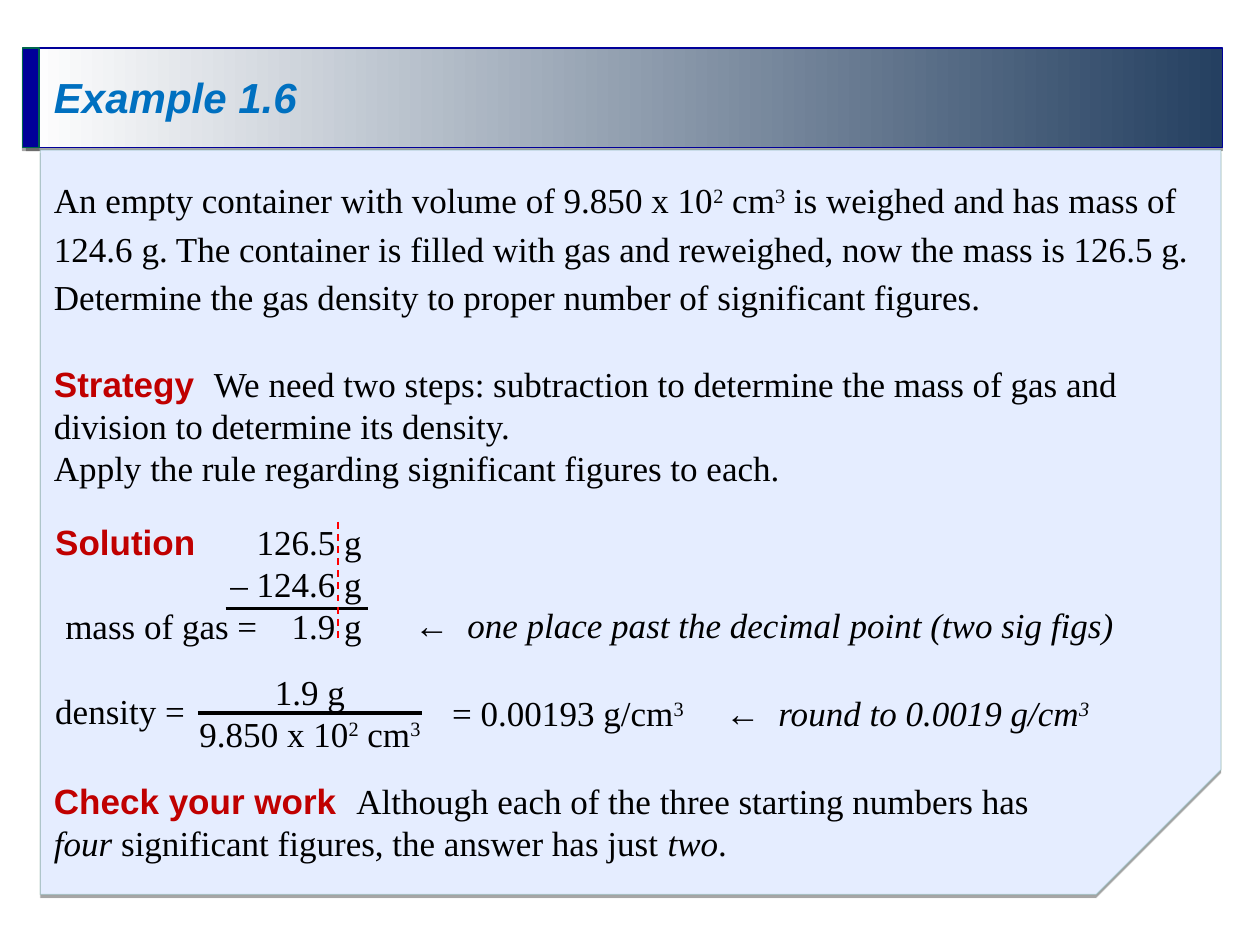
import dataclasses

import lxml.etree
import pptx
import pptx.dml.color
import pptx.enum.dml
import pptx.enum.shapes
import pptx.enum.text
import pptx.oxml
import pptx.oxml.ns
import pptx.util

Inches = pptx.util.Inches
Pt = pptx.util.Pt
qn = pptx.oxml.ns.qn
RGB = pptx.dml.color.RGBColor.from_string
Align = pptx.enum.text.PP_ALIGN


@dataclasses.dataclass(frozen=True)
class Theme:
    serif: str = "Times New Roman"
    sans: str = "Arial"
    ink: str = "000000"
    lead: str = "C00000"
    title: str = "0070C0"
    panel: str = "E5EDFF"
    edge: str = "00664D"
    navy: str = "000099"
    fade: tuple = ("FFFFFF", "254061")
    mark: str = "FF0000"
    size: int = 20
    head: int = 24


T = Theme()


# Runs: each helper returns the text with its font settings
def body(text, **more):
    return text, dict(font=T.serif, color=T.ink, size=T.size) | more


def lead(text):
    return text, dict(font=T.sans, color=T.lead, size=T.size, bold=True)


def note(text):
    return body(text, italic=True)


def sup(text, **more):
    return body(text, raised=True, **more)


def add_run(para, text, font, color, size, bold=False, italic=False, raised=False):
    run = para.add_run()
    run.text = text
    run.font.name = font
    run.font.size = Pt(size)
    run.font.bold = bold
    run.font.italic = italic
    run.font.color.rgb = RGB(color)
    if raised:
        run._r.get_or_add_rPr().set("baseline", "30000")


def add_text(slide, left, top, width, height, paras, align=Align.LEFT,
             space=1.0, tab=None, middle=False):
    box = slide.shapes.add_textbox(*map(Inches, (left, top, width, height)))
    frame = box.text_frame
    frame.word_wrap = True
    if middle:
        frame.vertical_anchor = pptx.enum.text.MSO_ANCHOR.MIDDLE
    for i, runs in enumerate(paras):
        para = frame.add_paragraph() if i else frame.paragraphs[0]
        para.alignment = align
        para.line_spacing = space
        for text, style in runs:
            add_run(para, text, **style)
        if tab:
            stops = lxml.etree.SubElement(para._p.get_or_add_pPr(), qn("a:tabLst"))
            lxml.etree.SubElement(stops, qn("a:tab"), pos=str(Inches(tab)), algn="l")


# Shapes with a thin line and a hard shadow below
def finish(shape, fill, line, alpha=None):
    if isinstance(fill, tuple):
        shape.fill.gradient()
        shape.fill.gradient_angle = 0
        for stop, color, place in zip(shape.fill.gradient_stops, fill, (0, 1)):
            stop.color.rgb = RGB(color)
            stop.position = place
    else:
        shape.fill.solid()
        shape.fill.fore_color.rgb = RGB(fill)
    shape.line.color.rgb = RGB(line)
    shape.line.width = Pt(0.75)
    if alpha:
        color = shape._element.spPr.find(".//" + qn("a:ln") + "//" + qn("a:srgbClr"))
        add_alpha(color, alpha)
    shape.shadow.inherit = False
    effects = shape._element.spPr.find(qn("a:effectLst"))
    shade = lxml.etree.SubElement(effects, qn("a:outerShdw"), blurRad="0",
                                  dist=str(Pt(1.8)), dir="5400000", rotWithShape="0")
    add_alpha(lxml.etree.SubElement(shade, qn("a:srgbClr"), val=T.ink), 35)


def add_alpha(color, percent):
    lxml.etree.SubElement(color, qn("a:alpha"), val=str(percent * 1000))


def add_bar(slide, left, width, fill, line):
    kind = pptx.enum.shapes.MSO_SHAPE.RECTANGLE
    bar = slide.shapes.add_shape(kind, *map(Inches, (left, 0.38, width, 0.79)))
    finish(bar, fill, line)


def add_panel(slide):
    left, top, right, low, cut = 0.32, 1.19, 9.69, 7.1, 0.99
    points = [(right - cut, low), (right, low - cut), (right, top), (left, top)]
    path = slide.shapes.build_freeform(Inches(left), Inches(low))
    path.add_line_segments([(Inches(x), Inches(y)) for x, y in points], close=True)
    finish(path.convert_to_shape(), T.panel, T.edge, alpha=18)


def add_rule(slide, x1, y1, x2, y2, color=T.ink, width=2, dash=False):
    kind = pptx.enum.shapes.MSO_CONNECTOR.STRAIGHT
    rule = slide.shapes.add_connector(kind, *map(Inches, (x1, y1, x2, y2)))
    rule.line.color.rgb = RGB(color)
    rule.line.width = Pt(width)
    if dash:
        rule.line.dash_style = pptx.enum.dml.MSO_LINE.DASH
    lxml.etree.SubElement(rule._element.spPr, qn("a:effectLst"))


def main():
    deck = pptx.Presentation()
    deck.slide_width, deck.slide_height = Inches(10), Inches(7.5)
    slide = deck.slides.add_slide(deck.slide_layouts[6])

    # Header and panel
    add_bar(slide, 0.21, 9.49, T.fade, T.navy)
    add_panel(slide)
    add_bar(slide, 0.18, 0.13, T.navy, T.edge)
    title = dict(font=T.sans, color=T.title, size=T.head, bold=True, italic=True)
    add_text(slide, 0.33, 0.02, 8.49, 1.56, [[("Example 1.6", title)]],
             space=0.81, middle=True)

    # Problem and strategy
    add_text(slide, 0.33, 1.32, 9.33, 1.25, [[
        body("An empty container with volume of 9.850 x 10"), sup("2"),
        body(" cm"), sup("3"),
        body(" is weighed and has mass of 124.6 g. The container is filled with gas "
             "and reweighed, now the mass is 126.5 g. Determine the gas density to "
             "proper number of significant figures.")]], space=1.15)
    add_text(slide, 0.33, 2.83, 9.33, 1.1, [
        [lead("Strategy"), body("\tWe need two steps: subtraction to determine the "
                                "mass of gas and division to determine its density.")],
        [body("Apply the rule regarding significant figures to each.")]], tab=1.27)

    # Subtraction
    add_text(slide, 0.34, 4.08, 1.5, 0.44, [[lead("Solution")]])
    add_text(slide, 0.42, 4.75, 1.8, 0.44, [[body("mass of gas =")]])
    add_text(slide, 1.6, 4.08, 1.37, 1.1,
             [[body(t)] for t in ("126.5 g", "– 124.6 g", "1.9 g")], Align.RIGHT)
    add_rule(slide, 1.79, 4.83, 2.92, 4.83)
    add_rule(slide, 2.68, 4.14, 2.68, 5.1, T.mark, 1, dash=True)
    add_text(slide, 3.19, 4.74, 5.89, 0.44,
             [[note("←\tone place past the decimal point (two sig figs)")]], tab=0.42)

    # Division
    add_text(slide, 0.34, 5.42, 1.3, 0.44, [[body("density =")]])
    add_text(slide, 1.42, 5.27, 2.08, 0.77, [
        [body("1.9 g")],
        [body("9.850 x 10"), sup("2"), body(" cm"), sup("3")]], Align.CENTER)
    add_rule(slide, 1.57, 5.66, 3.35, 5.66)
    add_text(slide, 3.49, 5.44, 2.09, 0.44, [[body("= 0.00193 g/cm"), sup("3")]])
    add_text(slide, 5.66, 5.44, 3.3, 0.44,
             [[note("←\tround to 0.0019 g/cm"), sup("3", italic=True)]], tab=0.42)

    # Check
    add_text(slide, 0.33, 6.14, 9.17, 0.77, [
        [lead("Check your work"),
         body("\tAlthough each of the three starting numbers has")],
        [note("four"), body(" significant figures, the answer has just "),
         note("two"), body(".")]], tab=2.4)

    deck.save("out.pptx")


if __name__ == "__main__":
    main()
